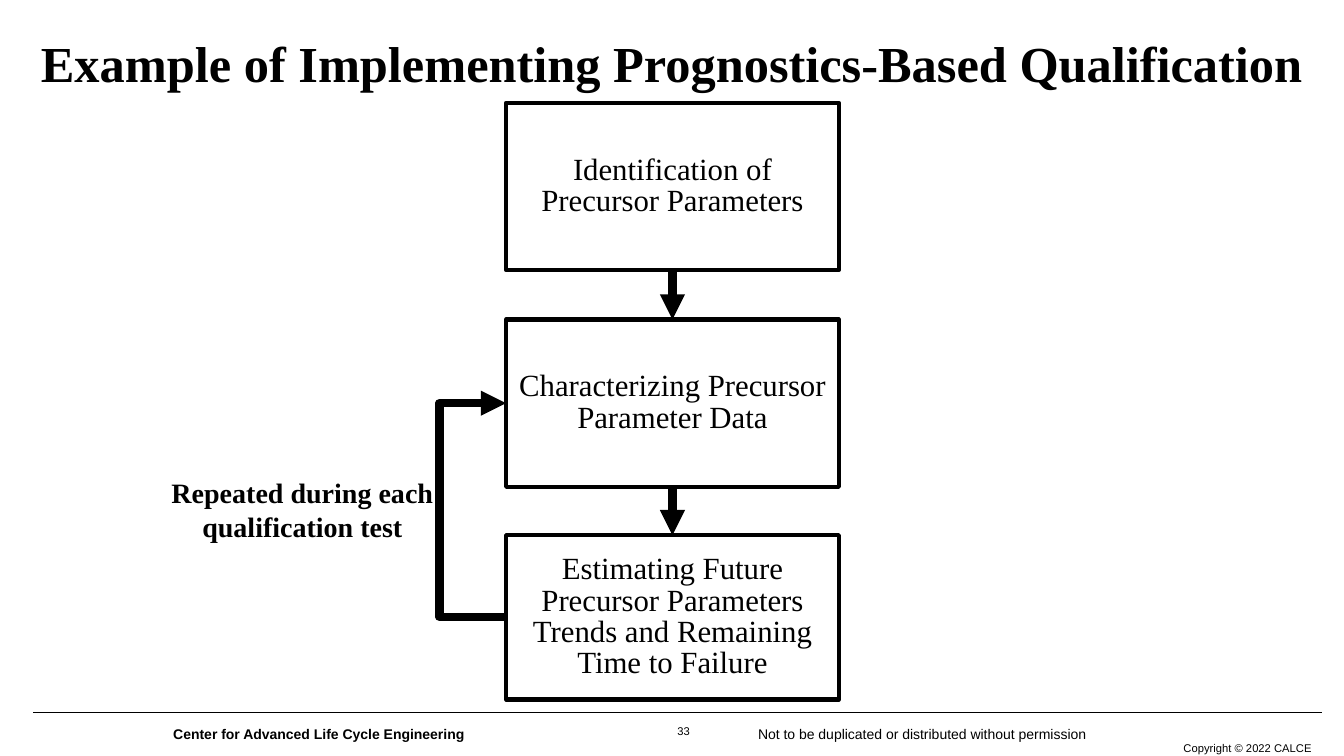
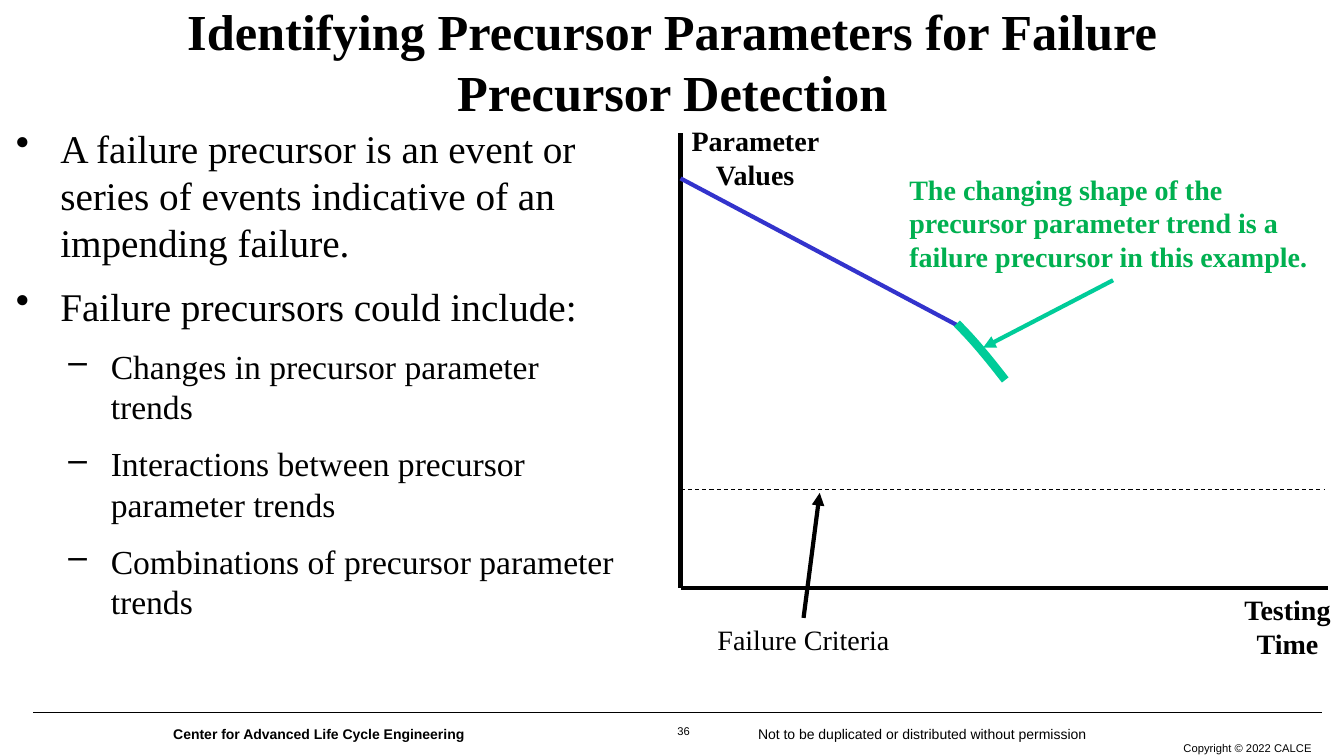
from itertools import pairwise

from lxml import etree
from pptx import Presentation
from pptx.dml.color import RGBColor
from pptx.enum.dml import MSO_LINE
from pptx.enum.shapes import MSO_CONNECTOR, MSO_SHAPE
from pptx.enum.text import MSO_ANCHOR, MSO_AUTO_SIZE, PP_ALIGN
from pptx.oxml.ns import qn
from pptx.util import Emu, Pt

PX = 9144
SERIF, SANS = "Times New Roman", "Arial"
COLORS = {"ink": "000000", "trend": "3333CC", "precursor": "00CC99", "note": "00B050"}
ALIGN = {"left": PP_ALIGN.LEFT, "center": PP_ALIGN.CENTER, "right": PP_ALIGN.RIGHT}


def px(*lengths):
    return [Emu(round(n * PX)) for n in lengths]


def color(name):
    return RGBColor.from_string(COLORS[name])


def write(p, text, size=20, font=SERIF, ink="ink", bold=False, align="left", spacing=None):
    p.alignment = ALIGN[align]
    if spacing:
        p.line_spacing = spacing
    r = p.add_run()
    r.text = text
    r.font.size = Pt(size)
    r.font.name = font
    r.font.bold = bold
    r.font.color.rgb = color(ink)


def prepare(tf, anchor=MSO_ANCHOR.TOP):
    tf.word_wrap = True
    tf.auto_size = MSO_AUTO_SIZE.NONE
    tf.vertical_anchor = anchor
    tf.margin_left, tf.margin_top, tf.margin_right, tf.margin_bottom = px(10, 5, 10, 5)
    return tf


def label(s, box, text, **fmt):
    tf = prepare(s.shapes.add_textbox(*px(*box)).text_frame)
    write(tf.paragraphs[0], text, **fmt)


def stroke(sp, width, ink="ink", dash=None, arrow=False):
    sp.line.color.rgb = color(ink)
    sp.line.width = Pt(width)
    if dash:
        sp.line.dash_style = dash
    spPr = sp.element.spPr
    ln = spPr.find(qn("a:ln"))
    etree.SubElement(ln, qn("a:round"))
    if arrow:
        etree.SubElement(ln, qn("a:tailEnd"), type="triangle")
    if spPr.find(qn("a:effectLst")) is None:
        etree.SubElement(spPr, qn("a:effectLst"))


def line(s, start, end, width, **style):
    sp = s.shapes.add_connector(MSO_CONNECTOR.STRAIGHT, *px(*start, *end))
    stroke(sp, width, **style)


def outline(s, points, width, **style):
    start, *rest = [px(*point) for point in points]
    builder = s.shapes.build_freeform(*start)
    builder.add_line_segments(rest, close=False)
    sp = builder.convert_to_shape()
    sp.fill.background()
    stroke(sp, width, **style)


def bezier(a, b, c, d, steps=12):
    for i in range(steps + 1):
        t = i / steps
        u = 1 - t
        yield [u**3 * w + 3 * u * u * t * x + 3 * u * t * t * y + t**3 * z
               for w, x, y, z in zip(a, b, c, d)]


def step_box(s, box, text):
    sp = s.shapes.add_shape(MSO_SHAPE.RECTANGLE, *px(*box))
    sp.shadow.inherit = False
    sp.fill.background()
    stroke(sp, 3)
    tf = prepare(sp.text_frame, MSO_ANCHOR.MIDDLE)
    write(tf.paragraphs[0], text, size=22, align="center", spacing=0.85)


def bullet_list(s, box, items):
    tf = prepare(s.shapes.add_textbox(*px(*box)).text_frame)
    for i, (level, text) in enumerate(items):
        p = tf.add_paragraph() if i else tf.paragraphs[0]
        mark, left, hang, size = [("•", 50, 44, 28), ("–", 100, 42, 24)][level]
        pPr = p._p.get_or_add_pPr()
        pPr.set("marL", str(left * PX))
        pPr.set("indent", str(-hang * PX))
        etree.SubElement(pPr, qn("a:buChar"), char=mark)
        p.level = level
        p.space_before = Pt(6 if i else 0)
        p.space_after = Pt(6)
        write(p, text, size=size)


def footer(s, number):
    line(s, (33, 707), (1311, 707), 1)
    label(s, (661, 716, 34, 22), number, size=8, font=SANS, align="center", spacing=0.85)
    label(s, (1103, 731, 208, 24), "Copyright © 2022 CALCE", size=8, font=SANS, align="right")
    label(s, (162, 715, 400, 27), "Center for Advanced Life Cycle Engineering",
          size=10, font=SANS, bold=True)
    label(s, (742, 715, 387, 27), "Not to be duplicated or distributed without permission",
          size=10, font=SANS)


def add_slide(prs, title, box, number):
    s = prs.slides.add_slide(prs.slide_layouts[5])
    sp = s.shapes.title
    sp.left, sp.top, sp.width, sp.height = px(*box)
    tf = prepare(sp.text_frame, MSO_ANCHOR.MIDDLE)
    write(tf.paragraphs[0], title, size=36, bold=True, align="center")
    footer(s, number)
    return s


def process_slide(prs):
    s = add_slide(prs, "Example of Implementing Prognostics-Based Qualification",
                  (0, 0, 1333, 123), "33")
    left, width, middle = 502, 330, 667
    steps = [
        (102, 166, "Identification of Precursor Parameters"),
        (317, 166, "Characterizing Precursor Parameter Data"),
        (531, 163, "Estimating Future Precursor Parameters Trends and Remaining Time to Failure"),
    ]
    for top, height, text in steps:
        step_box(s, (left, top, width, height), text)
    for (top, height, _), (next_top, _, _) in pairwise(steps):
        line(s, (middle, top + height), (middle, next_top), 6, arrow=True)
    label(s, (158, 467, 284, 77), "Repeated during each qualification test",
          bold=True, align="center")
    loop_x, loop_start, loop_end = 436, 612, 400
    outline(s, [(left, loop_start), (loop_x, loop_start), (loop_x, loop_end), (left, loop_end)],
            6, arrow=True)


def detection_slide(prs):
    s = add_slide(prs, "Identifying Precursor Parameters for Failure Precursor Detection",
                  (113, -2, 1108, 125), "36")
    bullet_list(s, (0, 118, 625, 605), [
        (0, "A failure precursor is an event or series of events indicative of an "
            "impending failure."),
        (0, "Failure precursors could include:"),
        (1, "Changes in precursor parameter trends"),
        (1, "Interactions between precursor parameter trends"),
        (1, "Combinations of precursor parameter trends"),
    ])
    axis_x, axis_y = 675, 583
    line(s, (axis_x, axis_y), (axis_x, 132), 3)
    line(s, (axis_x, axis_y), (1317, axis_y), 3)
    label(s, (1221, axis_y, 112, 77), "Testing Time", bold=True, align="center")
    line(s, (axis_x, 486), (1313, 486), 0.75, dash=MSO_LINE.DASH)
    label(s, (axis_x, 118, 148, 77), "Parameter Values", bold=True, align="center")
    line(s, (axis_x, 177), (950, 323), 3, ink="trend")
    outline(s, bezier((949, 321), (961, 333), (973, 346), (997, 377)), 6, ink="precursor")
    label(s, (892, 166, 425, 111),
          "The changing shape of the precursor parameter trend is a failure precursor "
          "in this example.", ink="note", bold=True)
    line(s, (797, 613), (813, 489), 3, arrow=True)
    label(s, (667, 613, 260, 44), "Failure Criteria", align="center")
    line(s, (1104, 278), (975, 345), 3, ink="precursor", arrow=True)


def main():
    prs = Presentation()
    prs.slide_width, prs.slide_height = px(1333, 750)
    process_slide(prs)
    detection_slide(prs)
    prs.save("out.pptx")


if __name__ == "__main__":
    main()
